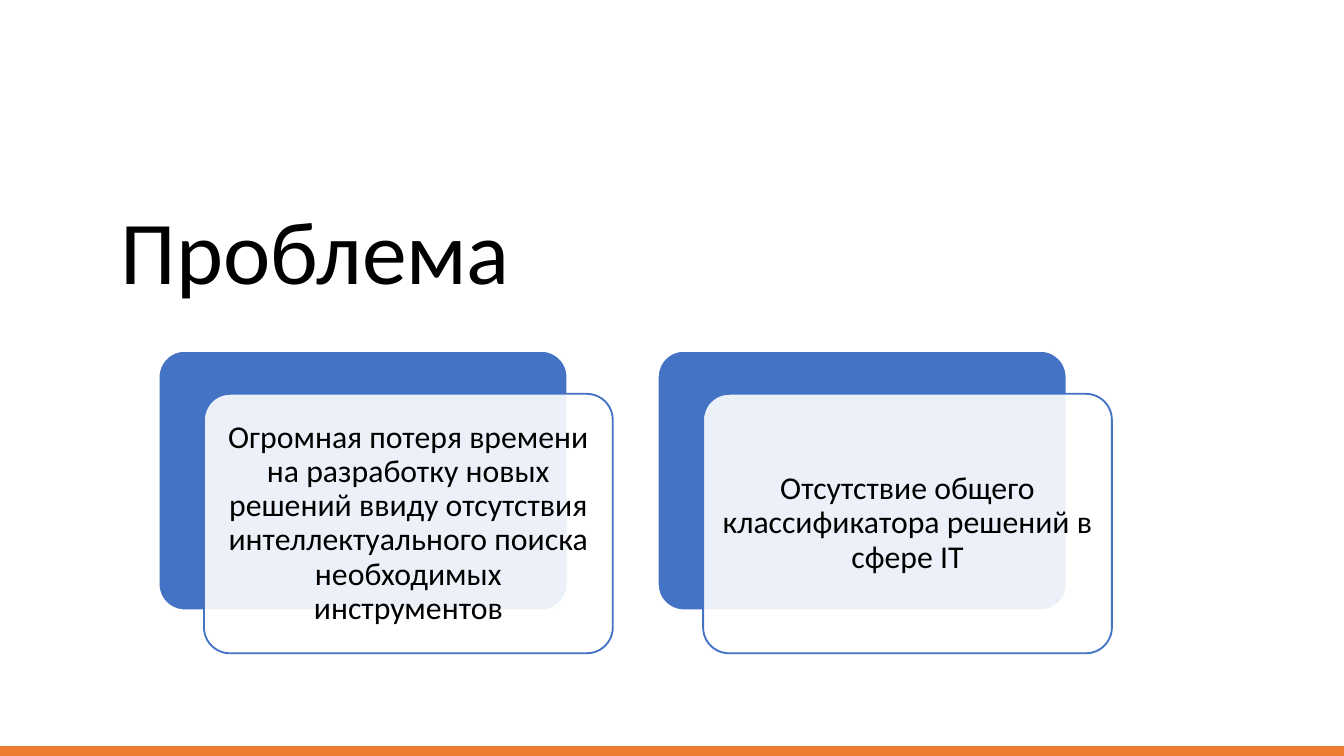
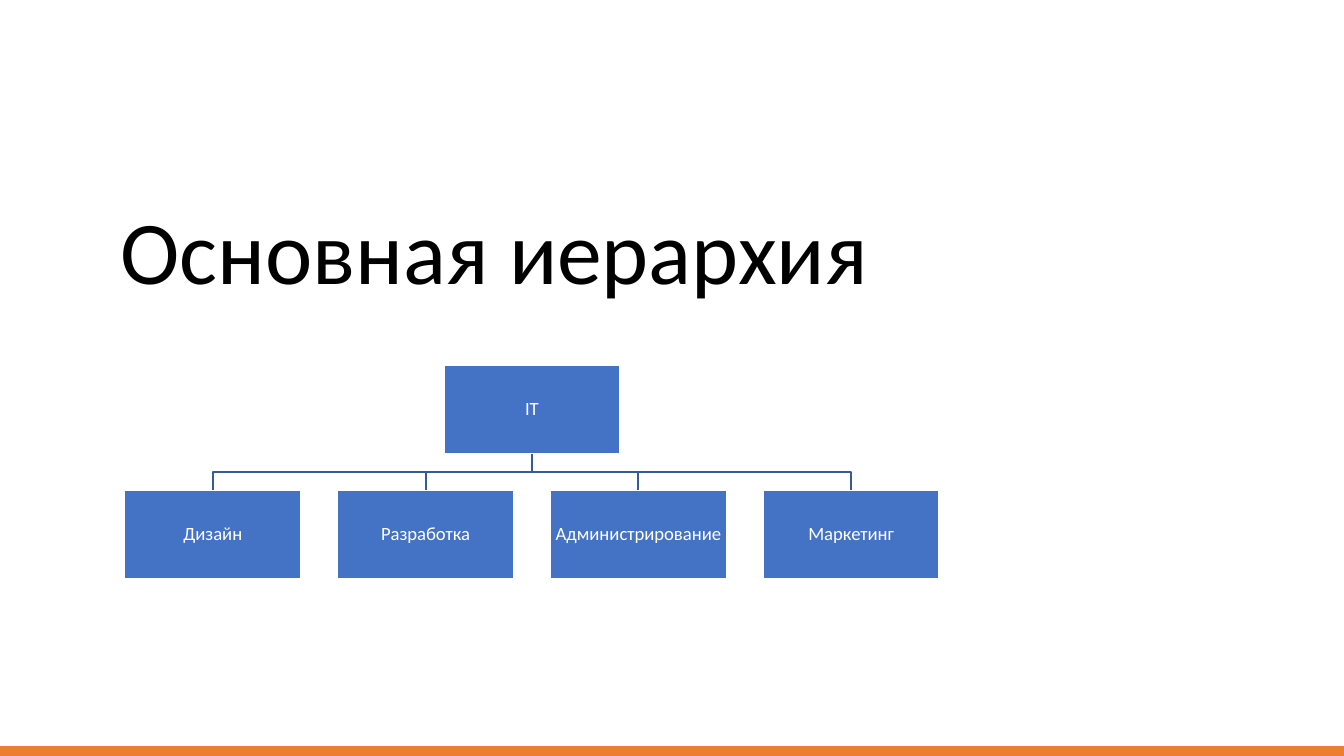
from lxml import etree
from pptx import Presentation
from pptx.dml.color import RGBColor
from pptx.enum.shapes import MSO_CONNECTOR as CONN, MSO_SHAPE as SHAPE
from pptx.enum.text import MSO_ANCHOR as ANCHOR, PP_ALIGN as ALIGN
from pptx.oxml.ns import qn
from pptx.util import Pt

BLUE, DARK_BLUE, ORANGE = "4472C4", "365B9D", "ED7D31"
WHITE, BLACK = "FFFFFF", "000000"
rgb = RGBColor.from_string


def write(sp, text, size, color=BLACK, align=ALIGN.CENTER, anchor=ANCHOR.MIDDLE, inset=5):
    tf = sp.text_frame
    tf.word_wrap = True
    tf.vertical_anchor = anchor
    tf.margin_left = tf.margin_right = tf.margin_top = tf.margin_bottom = Pt(inset)
    p = tf.paragraphs[0]
    p.alignment = align
    p.line_spacing = 0.9
    r = p.add_run()
    r.text = text
    r.font.name = "Calibri"
    r.font.size = Pt(size)
    r.font.color.rgb = rgb(color)


def add_box(slide, kind, x, y, w, h, fill=BLUE, line=WHITE):
    sp = slide.shapes.add_shape(kind, Pt(x), Pt(y), Pt(w), Pt(h))
    sp.shadow.inherit = False
    sp.fill.solid()
    sp.fill.fore_color.rgb = rgb(fill)
    sp.line.color.rgb = rgb(line)
    sp.line.width = Pt(1)
    return sp


prs = Presentation()
prs.slide_width, prs.slide_height = Pt(720), Pt(405)

# Shared title and bottom band
slides = []
for title in ("Проблема", "Основная иерархия"):
    slide = prs.slides.add_slide(prs.slide_layouts[6])
    box = slide.shapes.add_textbox(Pt(57.5), Pt(103.5), Pt(605.5), Pt(42.5))
    write(box, title, 48, align=ALIGN.LEFT, anchor=ANCHOR.TOP, inset=7.2)
    band = slide.shapes.add_connector(CONN.STRAIGHT, Pt(0), Pt(402.5), Pt(720), Pt(402.5))
    band.line.color.rgb = rgb(ORANGE)
    band.line.width = Pt(6)
    etree.SubElement(band._element.spPr, qn("a:effectLst"))
    slides.append(slide)
problem, hierarchy = slides

# Problem cards: a translucent card over a blue one
CARD_W, CARD_H = 219, 139
problems = (
    "Огромная потеря времени на разработку новых решений ввиду отсутствия "
    "интеллектуального поиска необходимых инструментов",
    "Отсутствие общего классификатора решений в сфере IT",
)
for i, text in enumerate(problems):
    x, y = 85 + i * 267.4, 188
    back = add_box(problem, SHAPE.ROUNDED_RECTANGLE, x, y, CARD_W, CARD_H)
    front = add_box(problem, SHAPE.ROUNDED_RECTANGLE, x + 24.3, y + 23, CARD_W, CARD_H,
                    fill=WHITE, line=BLUE)
    back.adjustments[0] = front.adjustments[0] = 0.1
    color = front._element.spPr.find(qn("a:solidFill"))[0]
    etree.SubElement(color, qn("a:alpha"), val="90000")
    write(front, text, 17)

# Hierarchy: one root, evenly spaced branches
NODE_W, NODE_H, STEP = 94.5, 47.25, 114
ROOT_TOP, BRANCH_TOP = 195.75, 262.8
branches = ("Дизайн", "Разработка", "Администрирование", "Маркетинг")
centers = [114 + i * STEP for i in range(len(branches))]
root_x = (centers[0] + centers[-1]) / 2
root_bottom = ROOT_TOP + NODE_H
mid_y = (root_bottom + BRANCH_TOP) / 2

for cx in reversed(centers):
    fb = hierarchy.shapes.build_freeform(Pt(root_x), Pt(root_bottom))
    fb.add_line_segments([(Pt(root_x), Pt(mid_y)), (Pt(cx), Pt(mid_y)),
                          (Pt(cx), Pt(BRANCH_TOP))], close=False)
    elbow = fb.convert_to_shape()
    elbow.shadow.inherit = False
    elbow.fill.background()
    elbow.line.color.rgb = rgb(DARK_BLUE)
    elbow.line.width = Pt(1)

nodes = [("IT", root_x, ROOT_TOP)]
nodes += [(name, cx, BRANCH_TOP) for name, cx in zip(branches, centers)]
for name, cx, top in nodes:
    node = add_box(hierarchy, SHAPE.RECTANGLE, cx - NODE_W / 2, top, NODE_W, NODE_H)
    write(node, name, 10, color=WHITE, inset=0.5)

prs.save("out.pptx")
